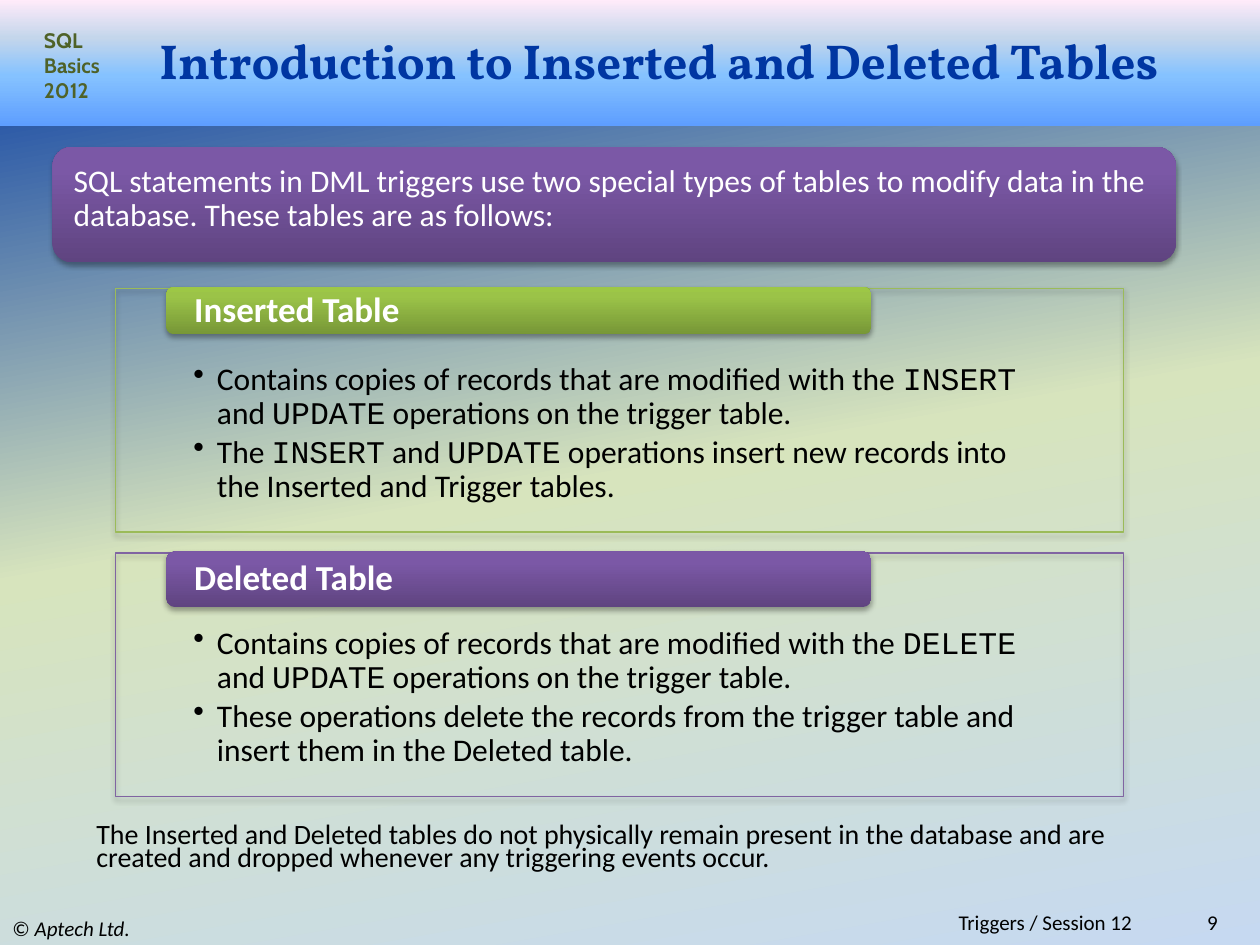
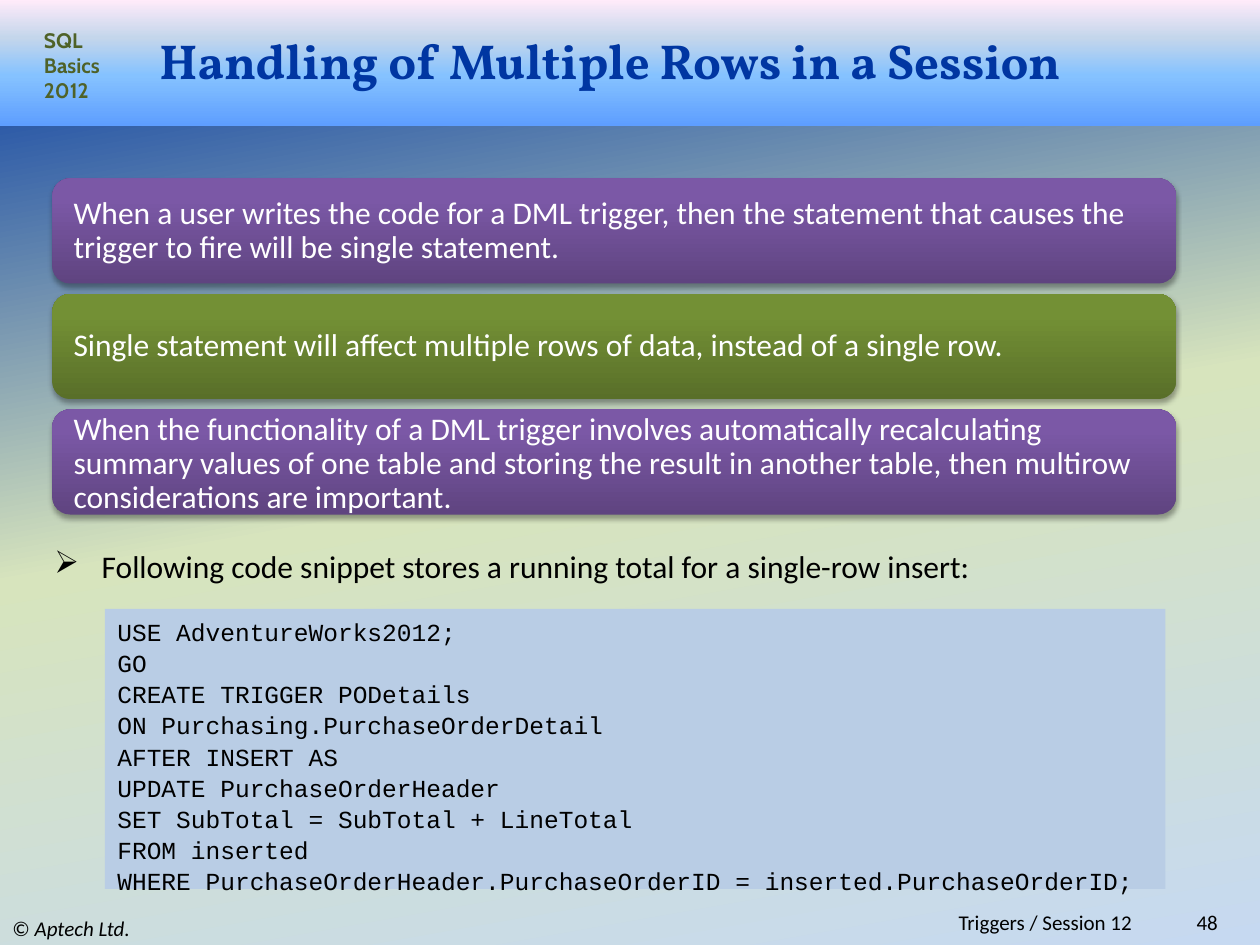
from lxml.etree import SubElement
from pptx import Presentation
from pptx.dml.color import RGBColor
from pptx.enum.shapes import MSO_SHAPE as SHAPE
from pptx.enum.text import MSO_ANCHOR as ANCHOR, PP_ALIGN as ALIGN
from pptx.oxml.ns import qn
from pptx.util import Pt

COLOURS = {
    "title": "0036A2", "label": "4F6228", "black": "000000", "white": "FFFFFF",
    "code": "B9CDE5", "green": "9BBB59", "purple": "8064A2",
}
# Gradient stops as (percent, colour)
BACKDROP = [(0, "0036A2"), (50, "D7E4BD"), (100, "C6D9F1")]
SKY = [(0, "5E9EFF"), (40, "85C2FF"), (70, "C4D6EB"), (100, "FFEBFA")]
PURPLE = [(0, "5F4480"), (80, "7B58A6"), (100, "7C57A8")]
GREEN = [(0, "779737"), (80, "9BC348"), (100, "9DC746")]
OLIVE = [(0, "596F29"), (80, "739035"), (100, "749334")]

BODY = {"name": "Calibri", "size": Pt(18)}
SMALL = {"name": "Calibri", "size": Pt(12)}
TAB = {"name": "Calibri", "size": Pt(20), "bold": True}
NOTE = {"name": "Calibri", "size": Pt(16)}
TITLE = {"name": "Vollkorn", "size": Pt(28), "bold": True}
LABEL = {"name": "Cabin", "size": Pt(12), "bold": True}
CODE = {"name": "Courier New", "size": Pt(14)}
MONO = {"name": "Courier New"}
ITALIC = {"italic": True}


def paint_gradient(owner, fill, stops, angle=270):
    fill.gradient()
    fill.gradient_angle = 360 - angle
    stop_list = next(owner.element.iter(qn("a:gsLst")))
    for old in list(stop_list):
        stop_list.remove(old)
    for percent, colour in stops:
        stop = SubElement(stop_list, qn("a:gs"), pos=str(percent * 1000))
        SubElement(stop, qn("a:srgbClr"), val=colour)


def add_text(slide, box, lines, style, colour="black", anchor=ANCHOR.MIDDLE,
             align=ALIGN.LEFT, insets=(7.2, 3.6, 7.2, 3.6), spacing=None,
             after=0, bullet=None, hang=0, marked=MONO):
    """Write lines into a new box; words between backticks take the marked style."""
    frame = slide.shapes.add_textbox(*map(Pt, box)).text_frame
    frame.word_wrap = True
    frame.vertical_anchor = anchor
    for side, inset in zip(("left", "top", "right", "bottom"), insets):
        setattr(frame, f"margin_{side}", Pt(inset))
    for i, line in enumerate(lines):
        paragraph = frame.add_paragraph() if i else frame.paragraphs[0]
        paragraph.alignment = align
        paragraph.line_spacing = spacing
        paragraph.space_after = Pt(after)
        if bullet:
            props = paragraph._p.get_or_add_pPr()
            props.set("marL", str(Pt(hang)))
            props.set("indent", str(-Pt(hang)))
            SubElement(props, qn("a:buChar"), char=bullet)
        for j, words in enumerate(line.split("`")):
            if not words:
                continue
            run = paragraph.add_run()
            run.text = words
            for key, value in (style | (marked if j % 2 else {})).items():
                setattr(run.font, key, value)
            run.font.color.rgb = RGBColor.from_string(COLOURS[colour])


deck = Presentation()
deck.slide_width, deck.slide_height = Pt(720), Pt(540)

# Shared backdrop, header band, title and footers
pages = []
for title, number in [("Introduction to Inserted and Deleted Tables", "9"),
                      ("Handling of Multiple Rows in a Session", "48")]:
    slide = deck.slides.add_slide(deck.slide_layouts[6])
    pages.append(slide)
    paint_gradient(slide, slide.background.fill, BACKDROP, 80)
    band = slide.shapes.add_shape(SHAPE.RECTANGLE, 0, 0, Pt(720), Pt(72))
    band.shadow.inherit = False
    band.line.fill.background()
    paint_gradient(band, band.fill, SKY)
    add_text(slide, (0, 520.5, 240, 19.5), ["© `Aptech Ltd.`"], SMALL, marked=ITALIC)
    add_text(slide, (18, 12, 54, 51), ["SQL Basics 2012"], LABEL, "label", ANCHOR.TOP)
    add_text(slide, (642, 520.5, 61, 13), [number], SMALL, align=ALIGN.RIGHT)
    add_text(slide, (180, 520.5, 474, 13), ["Triggers / Session 12"], SMALL,
             align=ALIGN.RIGHT)
    add_text(slide, (84, 18, 600, 32), [title], TITLE, "title")
tables_page, rows_page = pages

# Panels: statement bars, table frames and their tabs
BAR_LEFT, BAR_WIDTH, BAR_HEIGHT = 30, 642, 60
bar_tops = [102 + 66 * i for i in range(3)]
frames = [(66, 165, 576, 139), (66, 316, 576, 139)]
tabs = [(95, 164, 403, 27), (95, 315, 403, 32)]
panels = [
    (tables_page, (BAR_LEFT, 84, BAR_WIDTH, 66), PURPLE, None),
    (tables_page, frames[0], None, "green"),
    (tables_page, tabs[0], GREEN, None),
    (tables_page, frames[1], None, "purple"),
    (tables_page, tabs[1], PURPLE, None),
]
for top, stops in zip(bar_tops, (PURPLE, OLIVE, PURPLE)):
    panels.append((rows_page, (BAR_LEFT, top, BAR_WIDTH, BAR_HEIGHT), stops, None))

for slide, box, stops, outline in panels:
    kind = SHAPE.ROUNDED_RECTANGLE if stops else SHAPE.RECTANGLE
    panel = slide.shapes.add_shape(kind, *map(Pt, box))
    if stops:
        paint_gradient(panel, panel.fill, stops)
        panel.line.fill.background()
    else:
        panel.fill.background()
        panel.line.color.rgb = RGBColor.from_string(COLOURS[outline])
        panel.line.width = Pt(0.75)
    panel.shadow.inherit = False
    effects = next(panel.element.iter(qn("a:effectLst")))
    shadow = SubElement(effects, qn("a:outerShdw"), blurRad=str(Pt(3.1)),
                        dist=str(Pt(1.8)), dir="5400000", rotWithShape="0")
    shade = SubElement(shadow, qn("a:srgbClr"), val=COLOURS["black"])
    SubElement(shade, qn("a:alpha"), val="35000")

# Statements inside the bars
statements = [
    (tables_page, 84, "SQL statements in DML triggers use two special types of tables "
     "to modify data in the database. These tables are as follows:"),
    (rows_page, bar_tops[0], "When a user writes the code for a DML trigger, then the "
     "statement that causes the trigger to fire will be single statement."),
    (rows_page, bar_tops[1], "Single statement will affect multiple rows of data, "
     "instead of a single row."),
    (rows_page, bar_tops[2] + 1.5, "When the functionality of a DML trigger involves "
     "automatically recalculating summary values of one table and storing the result "
     "in another table, then multirow considerations are important."),
]
for slide, top, statement in statements:
    add_text(slide, (36, top, 630, BAR_HEIGHT), [statement], BODY, "white",
             insets=(6, 6, 6, 6), spacing=0.9)

# Inserted and Deleted table descriptions
descriptions = [
    ("Inserted Table", [
        "Contains copies of records that are modified with the `INSERT` and `UPDATE` "
        "operations on the trigger table.",
        "The `INSERT` and `UPDATE` operations insert new records into the Inserted "
        "and Trigger tables."]),
    ("Deleted Table", [
        "Contains copies of records that are modified with the `DELETE` and `UPDATE` "
        "operations on the trigger table.",
        "These operations delete the records from the trigger table and insert them "
        "in the Deleted table."]),
]
for (heading, points), frame_box, tab_box in zip(descriptions, frames, tabs):
    add_text(tables_page, frame_box, points, BODY, anchor=ANCHOR.TOP,
             insets=(44.5, 42.5, 44.5, 10), spacing=0.9, after=2.7,
             bullet="•", hang=13.5)
    add_text(tables_page, tab_box, [heading], TAB, "white",
             insets=(16, 0, 16, 0), spacing=0.9)

add_text(tables_page, (48, 468, 630, 35),
         ["The Inserted and Deleted tables do not physically remain present in the "
          "database and are created and dropped whenever any triggering events occur."],
         NOTE, anchor=ANCHOR.TOP, spacing=0.7)

# Code snippet
add_text(rows_page, (24, 309, 642, 29),
         ["Following code snippet stores a running total for a single-row insert:"],
         BODY, anchor=ANCHOR.TOP, bullet="➢", hang=27)
snippet_box = (60, 348, 606, 160)
snippet_panel = rows_page.shapes.add_shape(SHAPE.RECTANGLE, *map(Pt, snippet_box))
snippet_panel.shadow.inherit = False
snippet_panel.fill.solid()
snippet_panel.fill.fore_color.rgb = RGBColor.from_string(COLOURS["code"])
snippet_panel.line.fill.background()
snippet = [
    "USE AdventureWorks2012;",
    "GO",
    "CREATE TRIGGER PODetails",
    "ON Purchasing.PurchaseOrderDetail",
    "AFTER INSERT AS",
    "UPDATE PurchaseOrderHeader",
    "SET SubTotal = SubTotal + LineTotal",
    "FROM inserted",
    "WHERE PurchaseOrderHeader.PurchaseOrderID = inserted.PurchaseOrderID;",
]
add_text(rows_page, snippet_box, snippet, CODE, anchor=ANCHOR.TOP, spacing=1.06)

deck.save("out.pptx")
